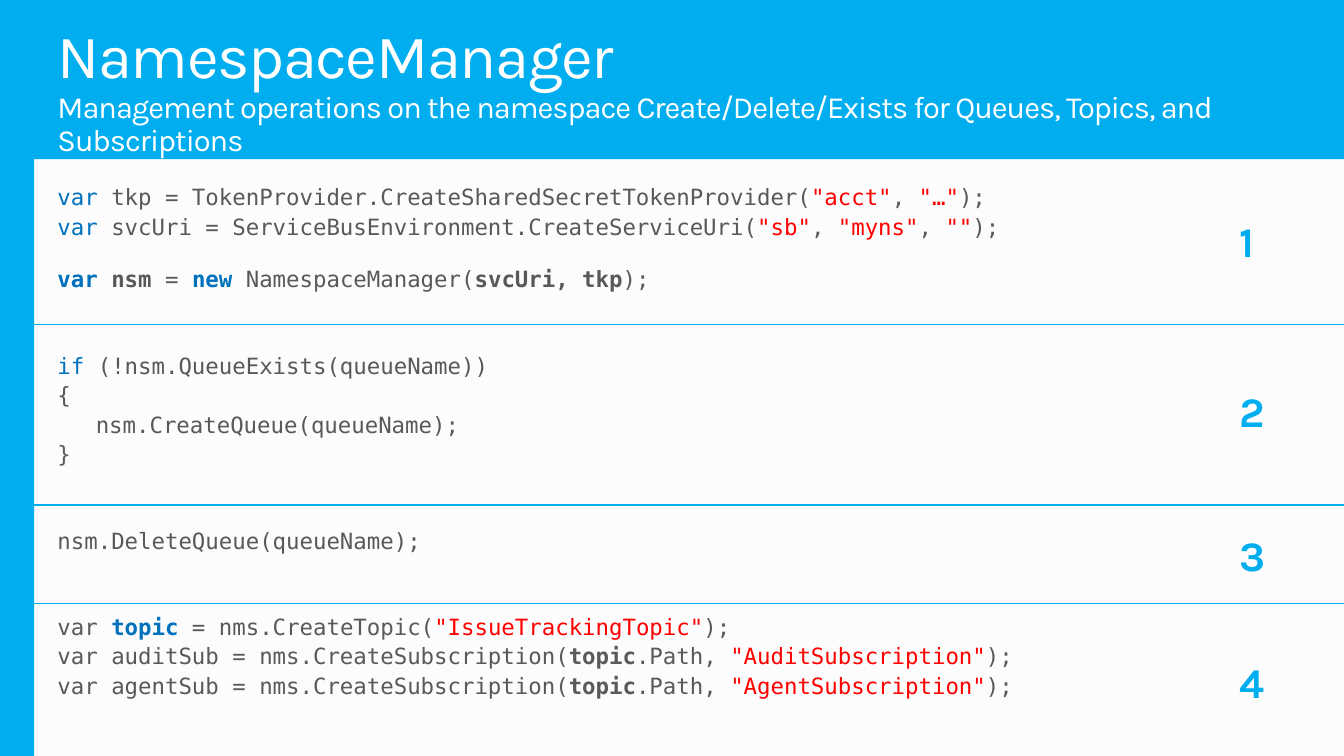
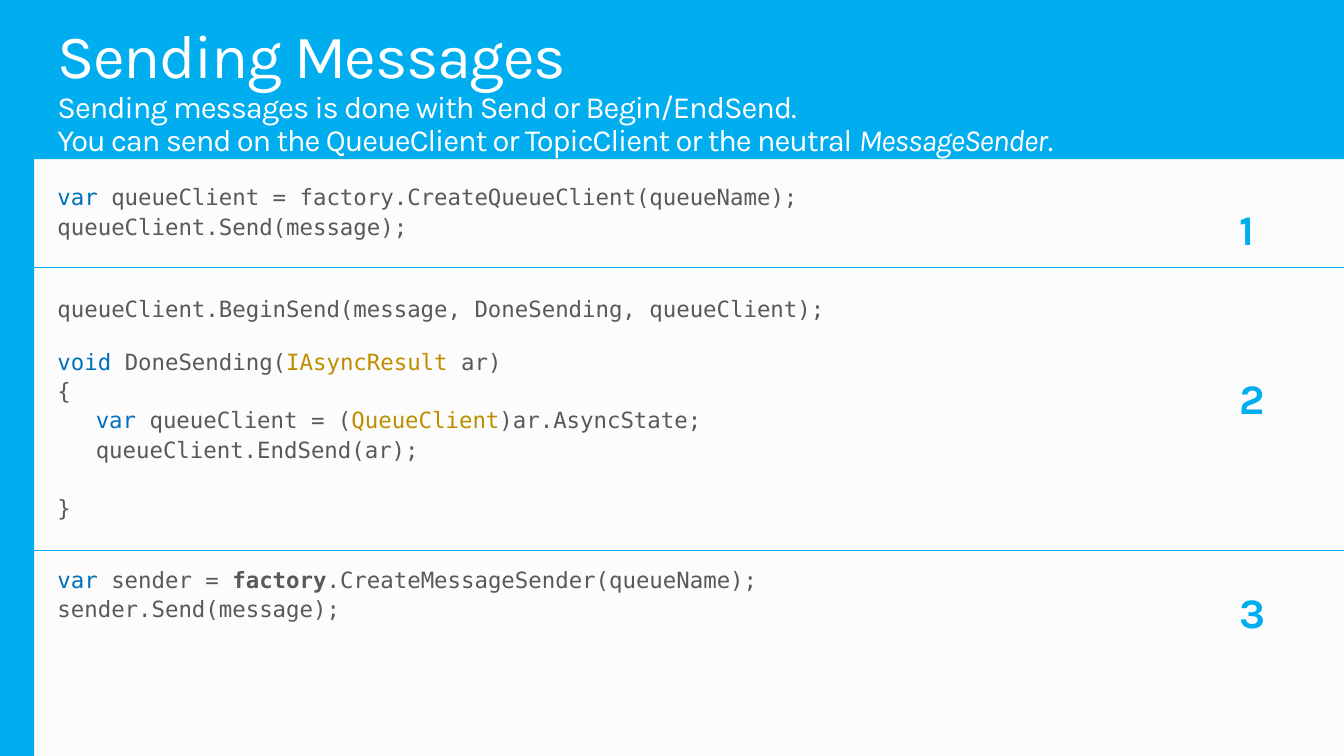
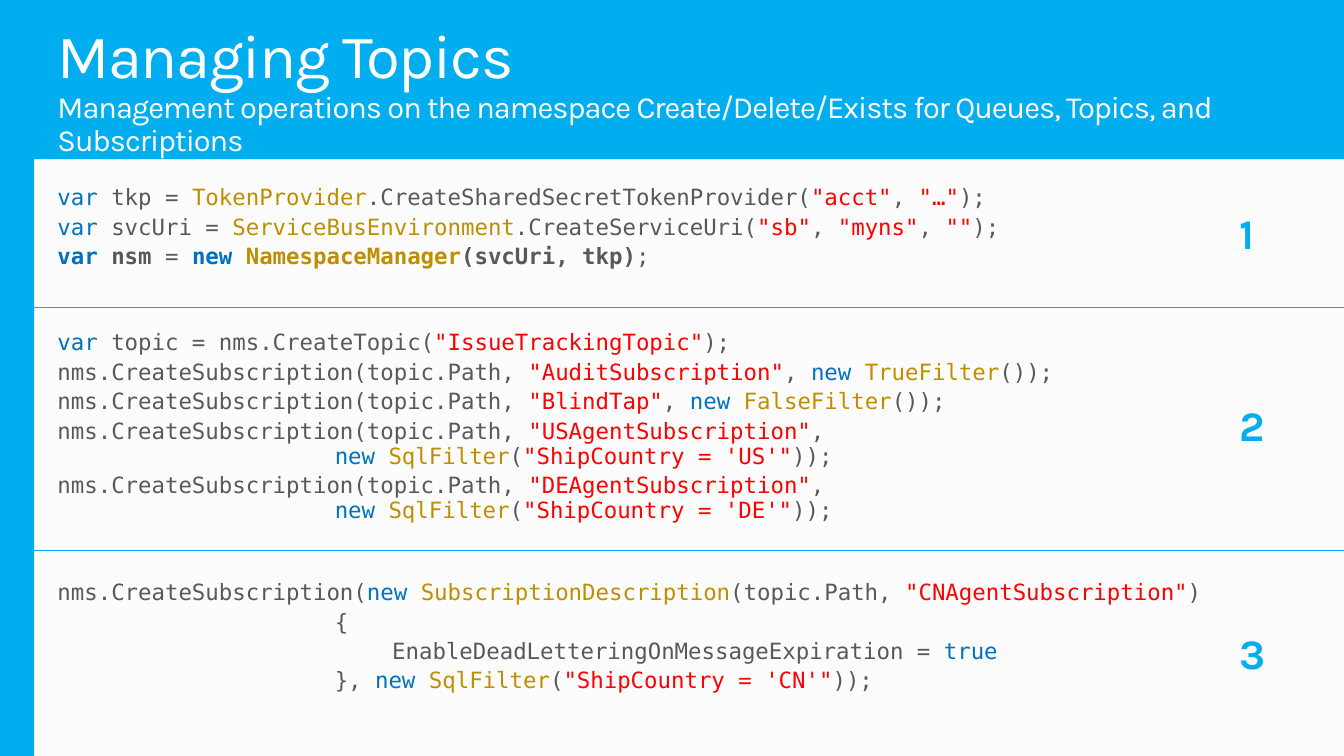
from dataclasses import dataclass

from lxml import etree
from pptx import Presentation
from pptx.dml.color import RGBColor
from pptx.enum.shapes import MSO_CONNECTOR, MSO_SHAPE
from pptx.oxml.ns import qn
from pptx.util import Inches, Pt

RECTANGLE = MSO_SHAPE.RECTANGLE
STRAIGHT = MSO_CONNECTOR.STRAIGHT

BLUE = RGBColor(0x00, 0xAE, 0xEF)
PAPER = RGBColor(0xFC, 0xFC, 0xFC)
WHITE = RGBColor(0xFF, 0xFF, 0xFF)
GREY = RGBColor(0x59, 0x59, 0x59)
KEYWORD_BLUE = RGBColor(0x00, 0x71, 0xBC)
STRING_RED = RGBColor(0xFF, 0x00, 0x00)
TYPE_GOLD = RGBColor(0xBF, 0x8E, 0x00)

HEADING_FONT = "Karla"
CODE_FONT = "DejaVu Sans Mono"

WIDTH, HEIGHT = 13.33, 7.5
BAR_WIDTH, BAND_HEIGHT = 0.34, 1.58
TEXT_LEFT, TEXT_WIDTH = 0.57, 12.19
TITLE_BOX = (TEXT_LEFT, 0.25, TEXT_WIDTH, 1.33)
CODE_BOX = (TEXT_LEFT, 1.85, TEXT_WIDTH, 5.2)
NUMBER_LEFT, NUMBER_WIDTH, NUMBER_HEIGHT = 12.29, 0.24, 0.5

LINE_GAP = 3.7
WRAP_GAP = 0.6
BREAK_GAP = 20.5
BRACE_GAP = 24
SENDER_GAP = 34.5
BLOCK_GAP = 41.5
SECTION_GAP = 44.5
BODY_INDENT, ARGUMENT_INDENT, PROPERTY_INDENT = 0.38, 2.75, 3.32


@dataclass
class Span:
    text: str
    color: RGBColor = GREY
    bold: bool = False
    italic: bool = False


@dataclass
class Line:
    spans: list
    gap: float = LINE_GAP
    indent: float = 0


def line(*parts, gap=LINE_GAP, indent=0):
    spans = [Span(part) if isinstance(part, str) else part for part in parts]
    return Line(spans, gap, indent)


def keyword(text, bold=False):
    return Span(text, KEYWORD_BLUE, bold)


def string(text):
    return Span(f'"{text}"', STRING_RED)


def type_name(text, bold=False):
    return Span(text, TYPE_GOLD, bold)


def strong(text):
    return Span(text, bold=True)


def heading(text):
    return Span(text, WHITE)


def subscription(name, *rest):
    return line("nms.CreateSubscription(topic.Path, ", string(name), *rest)


def sql_filter(country):
    return [keyword("new "), type_name("SqlFilter"), "(",
            string(f"ShipCountry = '{country}'"), "));"]


def filter_line(country):
    return line(*sql_filter(country), gap=WRAP_GAP, indent=ARGUMENT_INDENT)


def topic_subscription(variable, name):
    return line(f"var {variable} = nms.CreateSubscription(", strong("topic"),
                ".Path, ", string(name), ");")


def add_text_box(page, box, wrap=True):
    frame = page.shapes.add_textbox(*map(Inches, box)).text_frame
    frame.margin_left = frame.margin_right = 0
    frame.margin_top = frame.margin_bottom = 0
    frame.word_wrap = wrap
    return frame


def add_paragraph(frame, index):
    return frame.add_paragraph() if index else frame.paragraphs[0]


def write_spans(para, spans, font, size, tracking=0):
    para.line_spacing = 0.9
    for span in spans:
        run = para.add_run()
        run.text = span.text
        run.font.name = font
        run.font.size = Pt(size)
        run.font.color.rgb = span.color
        run.font.bold = span.bold
        run.font.italic = span.italic
        if tracking:
            run.font._element.set("spc", str(tracking))


def add_bands(page):
    for width, height in ((BAR_WIDTH, HEIGHT), (WIDTH, BAND_HEIGHT)):
        band = page.shapes.add_shape(
            RECTANGLE, 0, 0, Inches(width), Inches(height))
        band.shadow.inherit = False
        band.fill.solid()
        band.fill.fore_color.rgb = BLUE
        band.line.fill.background()


def add_title(page, box, title, subtitles):
    frame = add_text_box(page, box)
    write_spans(frame.paragraphs[0], [heading(title)], HEADING_FONT, 44, -100)
    for spans in subtitles:
        write_spans(frame.add_paragraph(), spans, HEADING_FONT, 22, -70)


def add_code(page, box, lines):
    frame = add_text_box(page, box)
    for index, code in enumerate(lines):
        para = add_paragraph(frame, index)
        if code.indent:
            para._p.get_or_add_pPr().set("marL", str(Inches(code.indent)))
        if index:
            para.space_before = Pt(code.gap)
        write_spans(para, code.spans, CODE_FONT, 16)


def add_dividers(page, tops):
    for top in tops:
        divider = page.shapes.add_connector(
            STRAIGHT, Inches(BAR_WIDTH), Inches(top),
            Inches(WIDTH), Inches(top))
        divider.line.color.rgb = BLUE
        divider.line.width = Pt(0.75)
        etree.SubElement(divider._element.spPr, qn("a:effectLst"))


def add_numbers(page, tops):
    for number, top in enumerate(tops, 1):
        box = (NUMBER_LEFT, top, NUMBER_WIDTH, NUMBER_HEIGHT)
        para = add_text_box(page, box, wrap=False).paragraphs[0]
        write_spans(para, [Span(str(number), BLUE, True)], HEADING_FONT, 30)
        para.line_spacing = 1.0


def add_code_slide(deck, title, subtitles, lines, dividers, numbers):
    page = deck.slides.add_slide(deck.slide_layouts[6])
    add_bands(page)
    add_title(page, TITLE_BOX, title, subtitles)
    add_code(page, CODE_BOX, lines)
    add_dividers(page, dividers)
    add_numbers(page, numbers)


MANAGEMENT_SUBTITLE = [[heading(
    "Management operations on the namespace Create/Delete/Exists "
    "for Queues, Topics, and Subscriptions")]]

SENDING_SUBTITLE = [
    [heading("Sending messages is done with Send or Begin/EndSend.")],
    [heading("You can send on the QueueClient or TopicClient "
             "or the neutral "),
     Span("MessageSender", WHITE, italic=True), heading(".")],
]


def connection_lines(emphasis):
    return [
        line(keyword("var"), " tkp = ", emphasis("TokenProvider"),
             ".CreateSharedSecretTokenProvider(", string("acct"), ", ",
             string("…"), ");"),
        line(keyword("var"), " svcUri = ", emphasis("ServiceBusEnvironment"),
             ".CreateServiceUri(", string("sb"), ", ", string("myns"), ", ",
             string(""), ");"),
    ]


MANAGER_CODE = connection_lines(Span) + [
    line(keyword("var ", True), strong("nsm"), " = ", keyword("new", True),
         " NamespaceManager(", strong("svcUri, tkp"), ");", gap=BREAK_GAP),
    line(keyword("if"), " (!nsm.QueueExists(queueName))", gap=SECTION_GAP),
    line("{"),
    line("nsm.CreateQueue(queueName);", indent=BODY_INDENT),
    line("}"),
    line("nsm.DeleteQueue(queueName);", gap=SECTION_GAP),
    line("var ", keyword("topic", True), " = nms.CreateTopic(",
         string("IssueTrackingTopic"), ");", gap=SECTION_GAP),
    topic_subscription("auditSub", "AuditSubscription"),
    topic_subscription("agentSub", "AgentSubscription"),
]

SENDING_CODE = [
    line(keyword("var "),
         "queueClient = factory.CreateQueueClient(queueName);"),
    line("queueClient.Send(message);"),
    line("queueClient.BeginSend(message, DoneSending, queueClient);",
         gap=BLOCK_GAP),
    line(keyword("void "), "DoneSending(", type_name("IAsyncResult"), " ar)",
         gap=BREAK_GAP),
    line("{"),
    line(keyword("var "), "queueClient = (", type_name("QueueClient"),
         ")ar.AsyncState;", indent=BODY_INDENT),
    line("queueClient.EndSend(ar);", indent=BODY_INDENT),
    line("}", gap=BRACE_GAP),
    line(keyword("var "), "sender = ", strong("factory"),
         ".CreateMessageSender(queueName);", gap=SENDER_GAP),
    line("sender.Send(message);"),
]

TOPICS_CODE = connection_lines(type_name) + [
    line(keyword("var ", True), strong("nsm"), " = ", keyword("new ", True),
         type_name("NamespaceManager", True), strong("(svcUri, tkp)"), ";"),
    line(keyword("var"), " topic = nms.CreateTopic(",
         string("IssueTrackingTopic"), ");", gap=SECTION_GAP),
    subscription("AuditSubscription", ", ", keyword("new "),
                 type_name("TrueFilter"), "());"),
    subscription("BlindTap", ", ", keyword("new "),
                 type_name("FalseFilter"), "());"),
    subscription("USAgentSubscription", ","),
    filter_line("US"),
    subscription("DEAgentSubscription", ","),
    filter_line("DE"),
    line("nms.CreateSubscription(", keyword("new "),
         type_name("SubscriptionDescription"), "(topic.Path, ",
         string("CNAgentSubscription"), ")", gap=BLOCK_GAP),
    line("{", indent=ARGUMENT_INDENT),
    line("EnableDeadLetteringOnMessageExpiration = ", keyword("true"),
         indent=PROPERTY_INDENT),
    line("}, ", *sql_filter("CN"), indent=ARGUMENT_INDENT),
]


def main():
    deck = Presentation()
    deck.slide_width, deck.slide_height = Inches(WIDTH), Inches(HEIGHT)
    background = deck.slide_master.background.fill
    background.solid()
    background.fore_color.rgb = PAPER
    add_code_slide(deck, "NamespaceManager", MANAGEMENT_SUBTITLE,
                   MANAGER_CODE, (3.22, 5.01, 5.99),
                   (2.14, 3.82, 5.25, 6.51))
    add_code_slide(deck, "Sending Messages", SENDING_SUBTITLE,
                   SENDING_CODE, (2.65, 5.46), (2.02, 3.7, 5.82))
    add_code_slide(deck, "Managing Topics", MANAGEMENT_SUBTITLE,
                   TOPICS_CODE, (3.05, 5.46), (2.06, 3.96, 6.23))
    deck.save("out.pptx")


if __name__ == "__main__":
    main()
